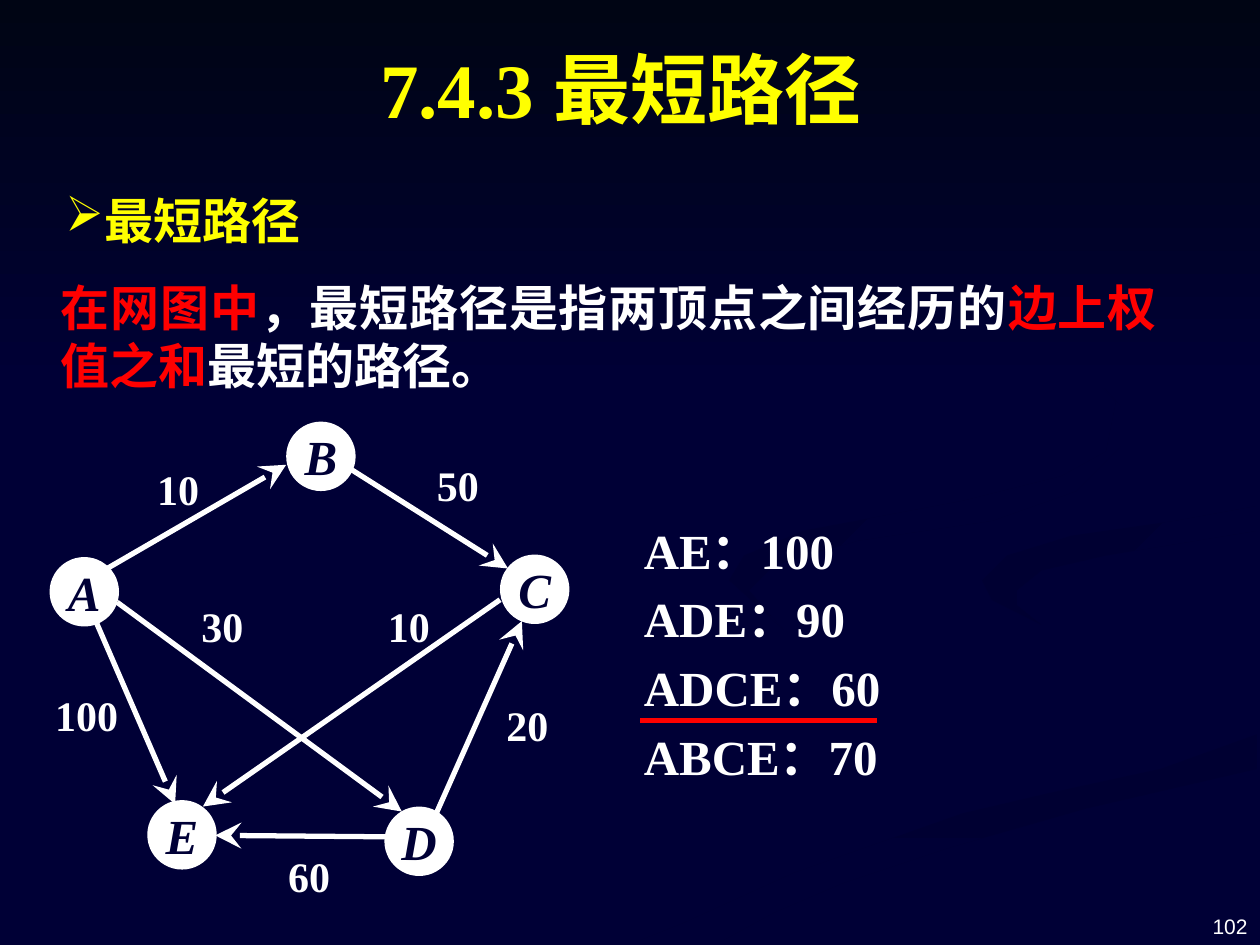
from dataclasses import dataclass

import pptx
import pptx.dml.color
import pptx.enum.dml
import pptx.enum.lang
import pptx.enum.shapes
import pptx.enum.text
import pptx.oxml
import pptx.oxml.ns
import pptx.util

Cm, Pt = pptx.util.Cm, pptx.util.Pt
Align = pptx.enum.text.PP_ALIGN
Anchor = pptx.enum.text.MSO_ANCHOR
Shape = pptx.enum.shapes.MSO_SHAPE


@dataclass(frozen=True)
class Theme:
    navy: str = "000036"
    deep: str = "000032"
    night: str = "000514"
    white: str = "FFFFFF"
    yellow: str = "FFFF00"
    red: str = "FF0000"
    serif: str = "Times New Roman"
    sans: str = "Arial"
    title: int = 44
    body: int = 28
    label: int = 24
    number: int = 12
    line: int = 3


THEME = Theme()


def rgb(value):
    return pptx.dml.color.RGBColor.from_string(value)


def add_child(parent, tag, **attributes):
    child = pptx.oxml.ns.qn(tag)
    element = parent.makeelement(child, attributes)
    parent.append(element)


def set_font(para, size, color, name=THEME.serif, bold=True):
    font = para.font
    font.name, font.size, font.bold = name, Pt(size), bold
    font.color.rgb = rgb(color)
    font.language_id = pptx.enum.lang.MSO_LANGUAGE_ID.SIMPLIFIED_CHINESE


def add_text_box(page, box, anchor=Anchor.TOP, side_inset=0.25):
    frame = page.shapes.add_textbox(*map(Cm, box)).text_frame
    frame.word_wrap = True
    frame.vertical_anchor = anchor
    frame.margin_left = frame.margin_right = Cm(side_inset)
    return frame


def add_line(page, start, end, color, arrow=False):
    line = page.shapes.add_connector(
        pptx.enum.shapes.MSO_CONNECTOR.STRAIGHT, *map(Cm, start + end))
    line.line.color.rgb = rgb(color)
    line.line.width = Pt(THEME.line)
    if arrow:
        add_child(line.line._get_or_add_ln(), "a:tailEnd",
                  type="stealth", w="lg", len="lg")
    add_child(line._element.spPr, "a:effectLst")


def fill_gradient(shape, first, last, angle):
    shape.shadow.inherit = False
    shape.line.fill.background()
    shape.fill.gradient()
    shape.fill.gradient_angle = angle
    for stop, color in zip(shape.fill.gradient_stops, (first, last)):
        stop.color.rgb = rgb(color)


def draw_background(page, box):
    left, top, width, _ = box
    page.background.fill.solid()
    page.background.fill.fore_color.rgb = rgb(THEME.navy)

    # Faint ribbons: gradient angle, then outline in cm
    ribbons = [
        (270, [(12.8, 19), (14.5, 19), (15.6, 18.4), (17, 17.8), (19.1, 17.1),
               (21.9, 16.3), (25.35, 15.5), (25.35, 14.8), (23.4, 15.5),
               (21.1, 16), (19.4, 16.4), (16, 17.6), (13.8, 18.6)]),
        (315, [(19.8, 11.7), (20, 12.1), (21, 12.6), (20.5, 12.2),
               (20.5, 11.9), (21, 11.5), (22.3, 11.2), (25.35, 10.7),
               (25.35, 10.2), (23.7, 10.5), (21.6, 10.8), (20.3, 11.2)]),
        (315, [(17.3, 10.9), (20, 10.5), (21.7, 9.9), (22.6, 9), (22.6, 8.2),
               (21.7, 7.2), (20.3, 6.4), (19.4, 5.9), (21.5, 7.1),
               (22.5, 8.1), (22.3, 9.1), (21.4, 9.6), (19.4, 10.1),
               (16.2, 10.7), (15, 11.2), (14.7, 11.7), (15.8, 12.7),
               (15.1, 11.9), (15.6, 11.4)]),
    ]
    for angle, points in ribbons:
        outline = [(Cm(left + x), Cm(top + y)) for x, y in points]
        builder = page.shapes.build_freeform(*outline[0])
        builder.add_line_segments(outline[1:], close=True)
        fill_gradient(builder.convert_to_shape(), THEME.deep, THEME.navy, angle)

    # Dark band fading down from the top
    band = page.shapes.add_shape(
        Shape.RECTANGLE, *map(Cm, (left, top, width, 7.82)))
    fill_gradient(band, THEME.night, THEME.navy, 270)


def draw_title(page, box):
    para = add_text_box(page, box, Anchor.MIDDLE).paragraphs[0]
    para.text = "7.4.3 最短路径"
    para.alignment = Align.CENTER
    set_font(para, THEME.title, THEME.yellow)


def draw_heading(page, box):
    para = add_text_box(page, box).paragraphs[0]
    para.text = "最短路径"
    add_child(para._p.get_or_add_pPr(), "a:buChar", char="➢")
    set_font(para, THEME.body, THEME.yellow)


def draw_definition(page, box):
    para = add_text_box(page, box, side_inset=0).paragraphs[0]
    para.alignment = Align.JUSTIFY
    set_font(para, THEME.body, THEME.white)
    for text, color in [("在网图中", THEME.red),
                        ("，最短路径是指两顶点之间经历的", THEME.white),
                        ("边上权值之和", THEME.red),
                        ("最短的路径。", THEME.white)]:
        span = para.add_run()
        span.text = text
        span.font.color.rgb = rgb(color)


def draw_graph(page, box):
    left, top = box[:2]
    diameter = 1.4
    nodes = {"B": (4.77, 0), "A": (0, 2.73), "E": (1.97, 7.63),
             "D": (6.75, 7.76), "C": (9.08, 2.68)}
    # Start, end, weight, corner of the weight label
    edges = [
        ((1.16, 2.96), (4.77, 0.87), "10", (1.92, 0.72)),
        ((6.01, 0.92), (9.24, 2.96), "50", (7.56, 0.64)),
        ((1.36, 3.64), (7.1, 7.86), "30", (2.81, 3.49)),
        ((9.08, 3.59), (3.09, 7.76), "10", (6.57, 3.49)),
        ((0.93, 4.02), (2.53, 7.71), "100", (-0.14, 5.27)),
        ((7.79, 7.91), (9.52, 4.02), "20", (8.96, 5.47)),
        ((6.77, 8.37), (3.34, 8.34), "60", (4.56, 8.52)),
    ]

    def place(point):
        return left + point[0], top + point[1]

    for start, end, weight, corner in edges:
        add_line(page, place(start), place(end), THEME.white, arrow=True)
        para = add_text_box(page, place(corner) + (2, 1.27)).paragraphs[0]
        para.text = weight
        set_font(para, THEME.label, THEME.white)

    for name, corner in nodes.items():
        node = page.shapes.add_shape(
            Shape.OVAL, *map(Cm, place(corner) + (diameter, diameter)))
        node.shadow.inherit = False
        node.fill.solid()
        node.fill.fore_color.rgb = rgb(THEME.white)
        node.line.fill.background()
        frame = node.text_frame
        frame.word_wrap = False
        frame.margin_left = frame.margin_right = 0
        frame.margin_top = frame.margin_bottom = 0
        frame.vertical_anchor = Anchor.MIDDLE
        para = frame.paragraphs[0]
        para.text = name
        para.alignment = Align.CENTER
        set_font(para, THEME.body, THEME.navy)
        para.font.italic = True


def draw_path_lengths(page, box):
    left, top = box[:2]
    frame = add_text_box(page, box)
    for index, text in enumerate(["AE：100", "ADE：90", "ADCE：60", "ABCE：70"]):
        para = frame.add_paragraph() if index else frame.paragraphs[0]
        para.text = text
        if index:
            para.space_before = Pt(5.6)
        set_font(para, THEME.body, THEME.white)
    # Underline of the shortest path
    add_line(page, (left + 0.18, top + 4.16), (left + 4.95, top + 4.16), THEME.red)


def draw_page_number(page, box):
    para = add_text_box(page, box, Anchor.BOTTOM).paragraphs[0]
    para.text = "102"
    para.alignment = Align.RIGHT
    set_font(para, THEME.number, THEME.white, THEME.sans, bold=False)


def main():
    deck = pptx.Presentation()
    deck.slide_width, deck.slide_height = Cm(25.4), Cm(19.05)
    page = deck.slides.add_slide(deck.slide_layouts[6])
    draw_background(page, (0, 0, 25.4, 19.05))
    draw_title(page, (1.09, 0.41, 22.86, 2.72))
    draw_heading(page, (1.07, 3.71, 14.6, 1.45))
    draw_definition(page, (1.22, 5.46, 22.1, 2.62))
    draw_graph(page, (1, 8.5, 10.48, 9.8))
    draw_path_lengths(page, (12.73, 10.36, 10.4, 5.72))
    draw_page_number(page, (19.48, 17.73, 5.92, 1.32))
    deck.save("out.pptx")


if __name__ == "__main__":
    main()
